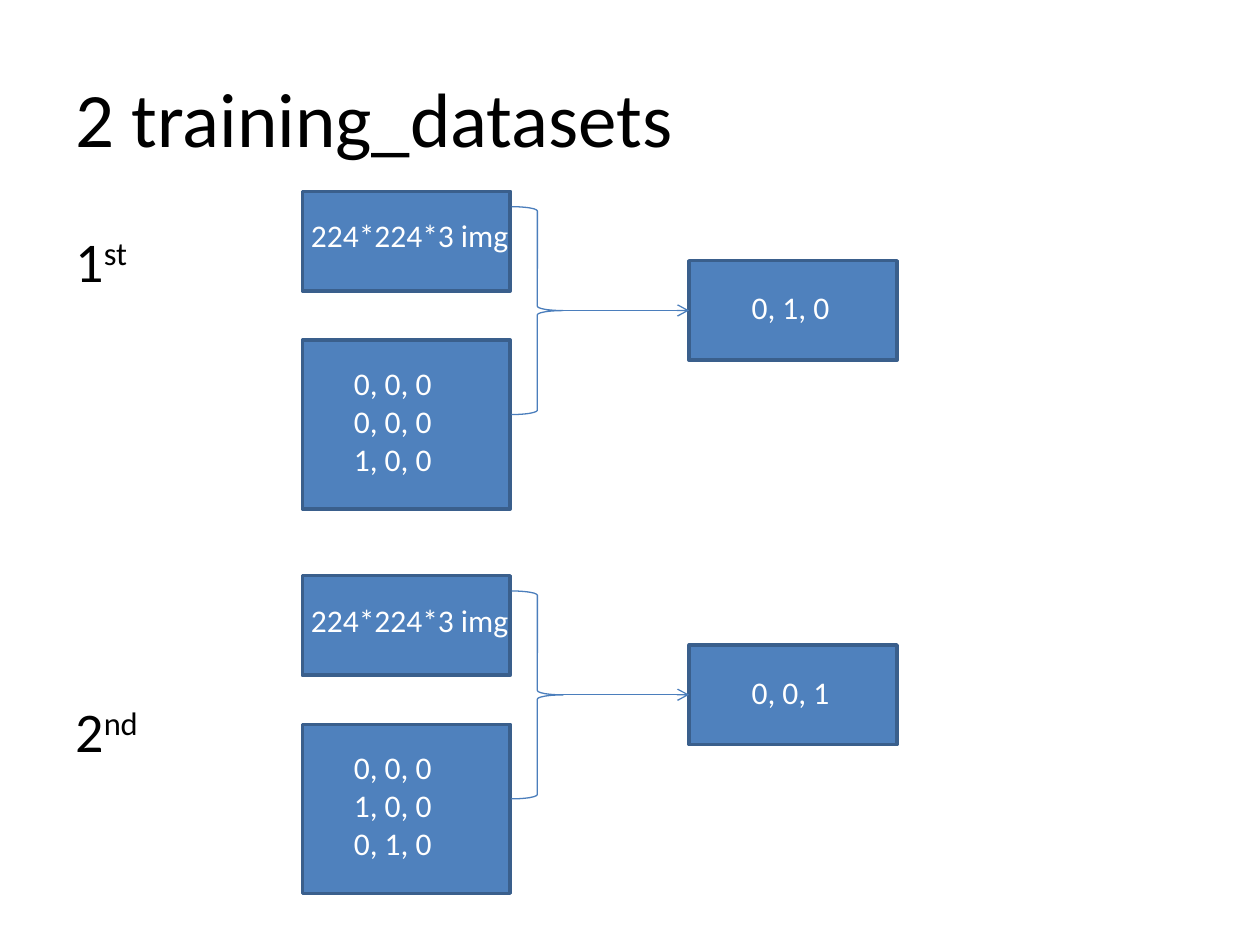
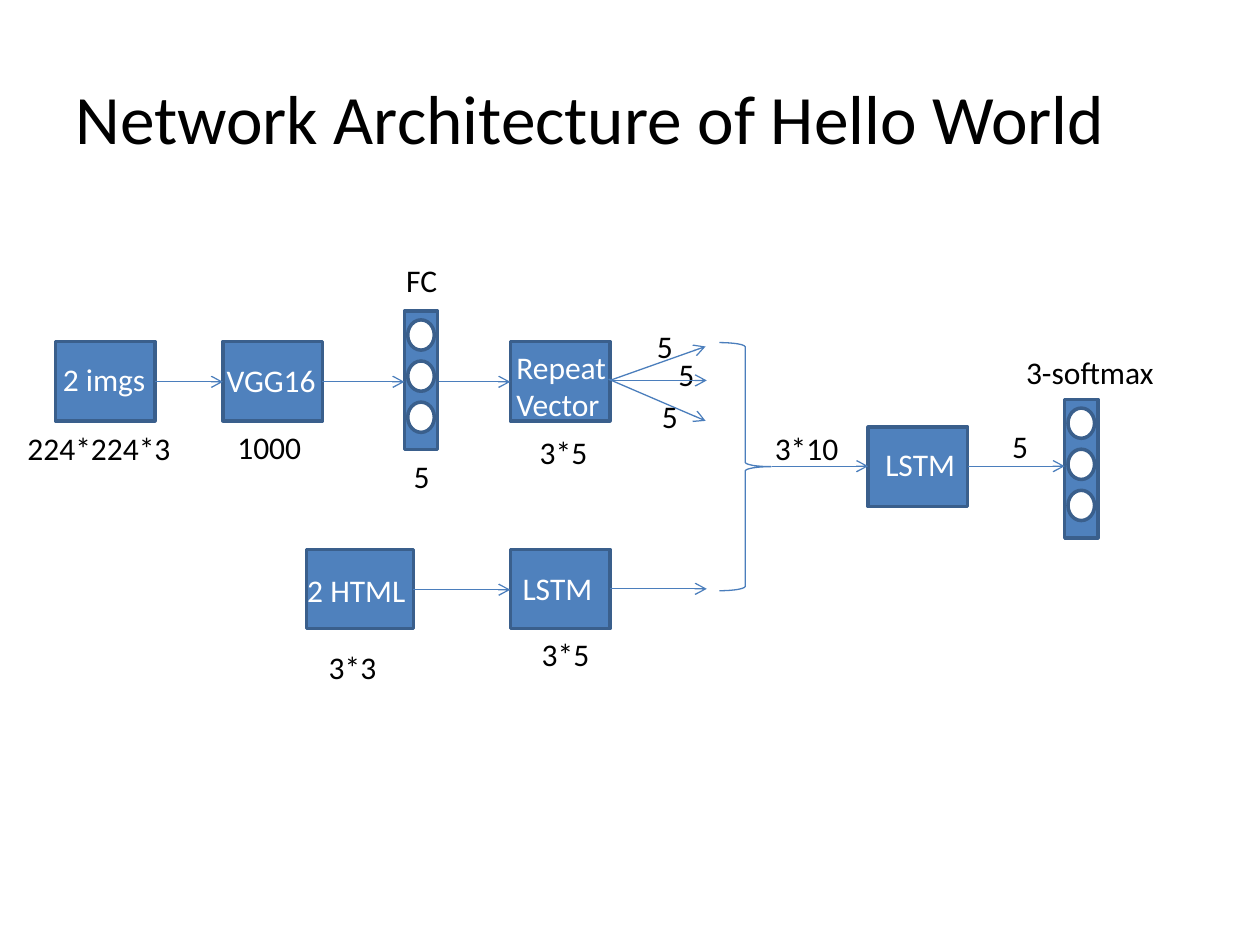
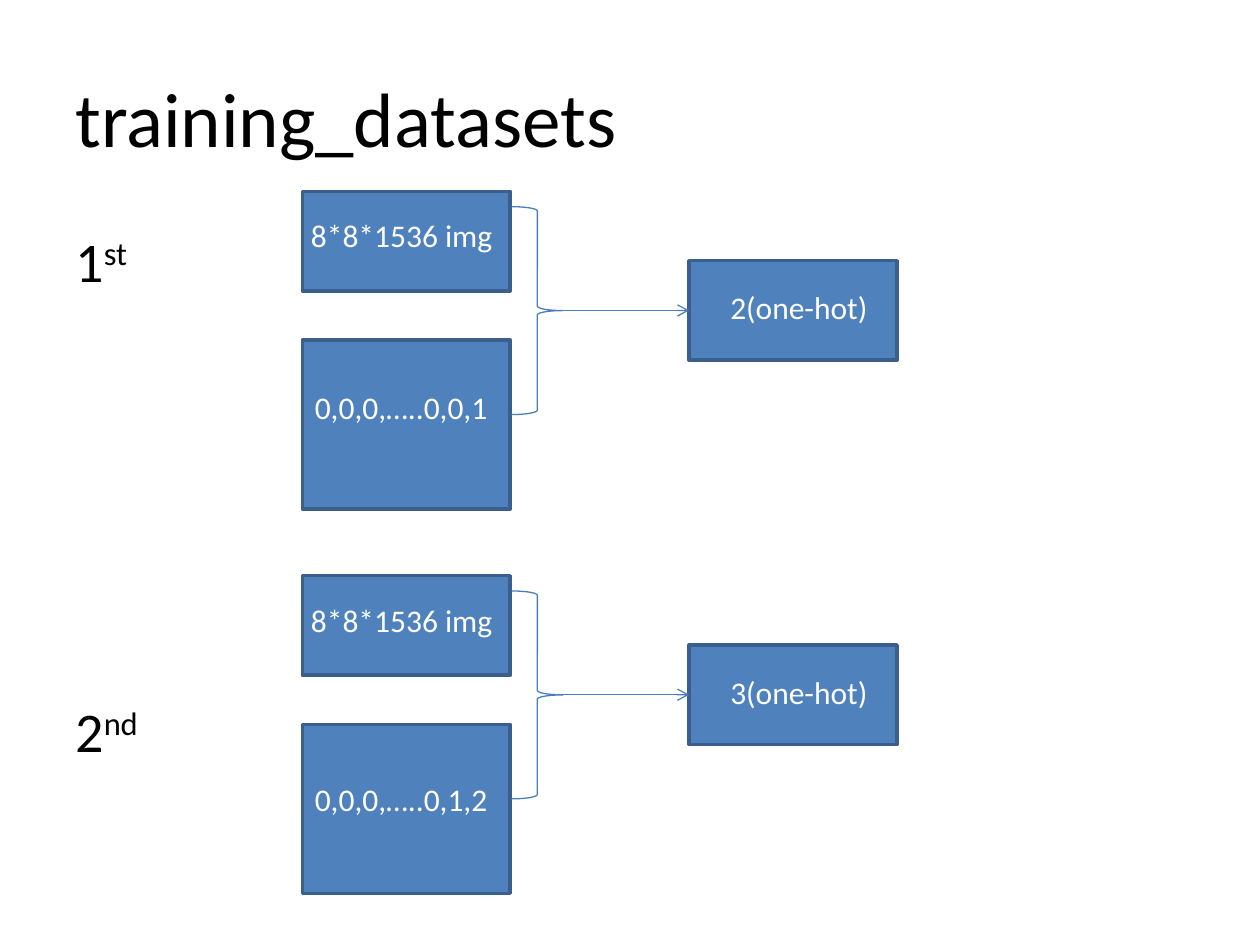
"""Build three slides on training datasets and a network architecture."""
from lxml.etree import SubElement
from pptx import Presentation
from pptx.dml.color import RGBColor
from pptx.enum.shapes import MSO_CONNECTOR, MSO_SHAPE
from pptx.enum.text import MSO_ANCHOR
from pptx.oxml.ns import qn
from pptx.util import Pt

FONT = "Calibri"
BLACK, WHITE = "000000", "FFFFFF"
BLUE, EDGE, WIRE = "4F81BD", "3A5F8C", "4B7EBC"


def write(page, text, left, top, width, height=28.8, size=18, color=BLACK,
          indent=0, anchor=MSO_ANCHOR.TOP):
    """Add a text box with one paragraph per line and return its frame."""
    frame = page.shapes.add_textbox(Pt(left), Pt(top), Pt(width), Pt(height)).text_frame
    frame.word_wrap = True
    frame.vertical_anchor = anchor
    frame.margin_left = Pt(7.2 + indent)
    frame.text = text
    for para in frame.paragraphs:
        for span in para.runs:
            span.font.name = FONT
            span.font.size = Pt(size)
            span.font.color.rgb = RGBColor.from_string(color)
    return frame


def draw(page, kind, left, top, width, height, fill=BLUE, line=EDGE, weight=2):
    """Add a preset shape; a fill of None leaves it hollow."""
    shape = page.shapes.add_shape(kind, Pt(left), Pt(top), Pt(width), Pt(height))
    shape.shadow.inherit = False
    if fill:
        shape.fill.solid()
        shape.fill.fore_color.rgb = RGBColor.from_string(fill)
    else:
        shape.fill.background()
    shape.line.color.rgb = RGBColor.from_string(line)
    shape.line.width = Pt(weight)


deck = Presentation()
deck.slide_width, deck.slide_height = Pt(720), Pt(540)

titles = [("2 training_datasets", 44), ("Network Architecture of Hello World", 39.6),
          ("training_datasets", 44)]
pages = []
for title, size in titles:
    page = deck.slides.add_slide(deck.slide_layouts[6])
    write(page, title, 36, 21.6, 648, 90, size=size, anchor=MSO_ANCHOR.MIDDLE)
    pages.append(page)
first_data, network, second_data = pages
arrows = []

# Each example: image, sequence, sequence top, result
datasets = [
    (first_data, 195.1, 87.1, 28.5, [
        ("224*224*3 img", "0, 0, 0\n0, 0, 0\n1, 0, 0", 204.5, "0, 1, 0"),
        ("224*224*3 img", "0, 0, 0\n1, 0, 0\n0, 1, 0", 424.1, "0, 0, 1")]),
    (second_data, 172.8, 136.1, 16.3, [
        ("8*8*1536 img", "0,0,0,…..0,0,1", 218.2, "2(one-hot)"),
        ("8*8*1536 img", "0,0,0,…..0,1,2", 442.1, "3(one-hot)")]),
]
for page, sequence_left, sequence_width, result_indent, examples in datasets:
    ordinals = write(page, "1\n2", 36, 126, 648, 356.4, size=32)
    ordinals.paragraphs[1].space_before = Pt(230)
    for para, suffix in zip(ordinals.paragraphs, ("st", "nd")):
        span = para.add_run()
        span.text = suffix
        span.font.name = FONT
        span.font.size = Pt(32)
        span.font.color.rgb = RGBColor.from_string(BLACK)
        span.font._element.set("baseline", "30000")

    for row, (image, sequence, sequence_top, result) in enumerate(examples):
        shift = 219.6 * row
        for left, top, height in ((172.8, 109.4, 56.9), (172.8, 194.4, 96.5),
                                  (393.8, 149, 56.9)):
            draw(page, MSO_SHAPE.RECTANGLE, left, top + shift, 118.8, height)
        draw(page, MSO_SHAPE.RIGHT_BRACE, 292.3, 118.1 + shift, 29.5, 118.8,
             fill=None, line=WIRE, weight=0.75)
        arrows.append((page, 321.8, 177.4 + shift, 393.8, 177.4 + shift))
        write(page, image, 170.6, 120.2 + shift, 130.3, color=WHITE)
        write(page, sequence, sequence_left, sequence_top, sequence_width,
              28.8 + 22 * sequence.count("\n"), color=WHITE)
        write(page, result, 393.8, 161.3 + shift, 130.3, color=WHITE,
              indent=result_indent)

blocks = [(31.7, 195.1, 56.9), (127.4, 195.1, 56.9), (291.6, 195.1, 56.9),
          (175, 313.9, 61.2), (291.6, 313.9, 56.9), (496.1, 244.1, 56.9)]
for left, top, width in blocks:
    draw(network, MSO_SHAPE.RECTANGLE, left, top, width, 45.4)
for left, top in ((231.1, 177.8), (608.4, 228.2)):
    draw(network, MSO_SHAPE.RECTANGLE, left, top, 19, 79.2)
    for unit in range(3):
        draw(network, MSO_SHAPE.OVAL, left + 1.9, top + 5 + 23.5 * unit, 15.2, 17.3,
             fill=WHITE)
draw(network, MSO_SHAPE.RIGHT_BRACE, 411.1, 195.8, 29.5, 141.8,
     fill=None, line=WIRE, weight=0.75)

wires = [(88.6, 218.2, 127.4, 218.2), (184.3, 218.2, 231.1, 218.2),
         (250.6, 218.2, 291.6, 218.2), (348.5, 217.4, 403.9, 217.4),
         (348.5, 217.4, 403.2, 198), (347.8, 216.7, 403.2, 240.5),
         (236.2, 337, 291.6, 337), (348.5, 336.5, 403.9, 336.5),
         (441.4, 266.4, 496.1, 266.4), (553, 266.4, 608.4, 266.4)]
arrows += [(network, *wire) for wire in wires]

block_names = [("2 imgs", 28.8, 202.3, 61.9, 0), ("VGG16", 122.4, 203, 67.7, 0),
               ("Repeat\nVector", 288, 195.1, 67.7, 0), ("2 HTML", 168.5, 322.6, 81.4, 0),
               ("LSTM", 287.3, 321.8, 81.4, 4.1), ("LSTM", 494.6, 250.6, 81.4, 4.1)]
sizes = [("224*224*3", 8.6, 241.9, 107.3, 0), ("1000", 108, 241.2, 107.3, 20.4),
         ("5", 196.6, 257.8, 84.2, 32.6), ("FC", 204.5, 145.4, 84.2, 20.4),
         ("3*5", 280.8, 244.1, 84.2, 20.4), ("5", 335.5, 183.6, 75.6, 32.6),
         ("5", 347.8, 199.4, 75.6, 32.6), ("5", 338.4, 223.2, 75.6, 32.6),
         ("3*3", 156.2, 366.5, 107.3, 24.4), ("3*5", 277.9, 359.3, 107.3, 24.4),
         ("3*10", 411.1, 241.9, 107.3, 24.4), ("5", 538.6, 240.5, 84.2, 32.6),
         ("3-softmax", 558.7, 198, 118.8, 20.4)]
for labels, color in ((block_names, WHITE), (sizes, BLACK)):
    for text, left, top, width, indent in labels:
        write(network, text, left, top, width, 28.8 + 22 * text.count("\n"),
              color=color, indent=indent)

for page, *ends in arrows:
    arrow = page.shapes.add_connector(MSO_CONNECTOR.STRAIGHT, *map(Pt, ends))
    arrow.line.color.rgb = RGBColor.from_string(WIRE)
    arrow.line.width = Pt(0.75)
    SubElement(arrow.line._get_or_add_ln(), qn("a:tailEnd"), type="arrow")
    SubElement(arrow._element.spPr, qn("a:effectLst"))

deck.save("out.pptx")
